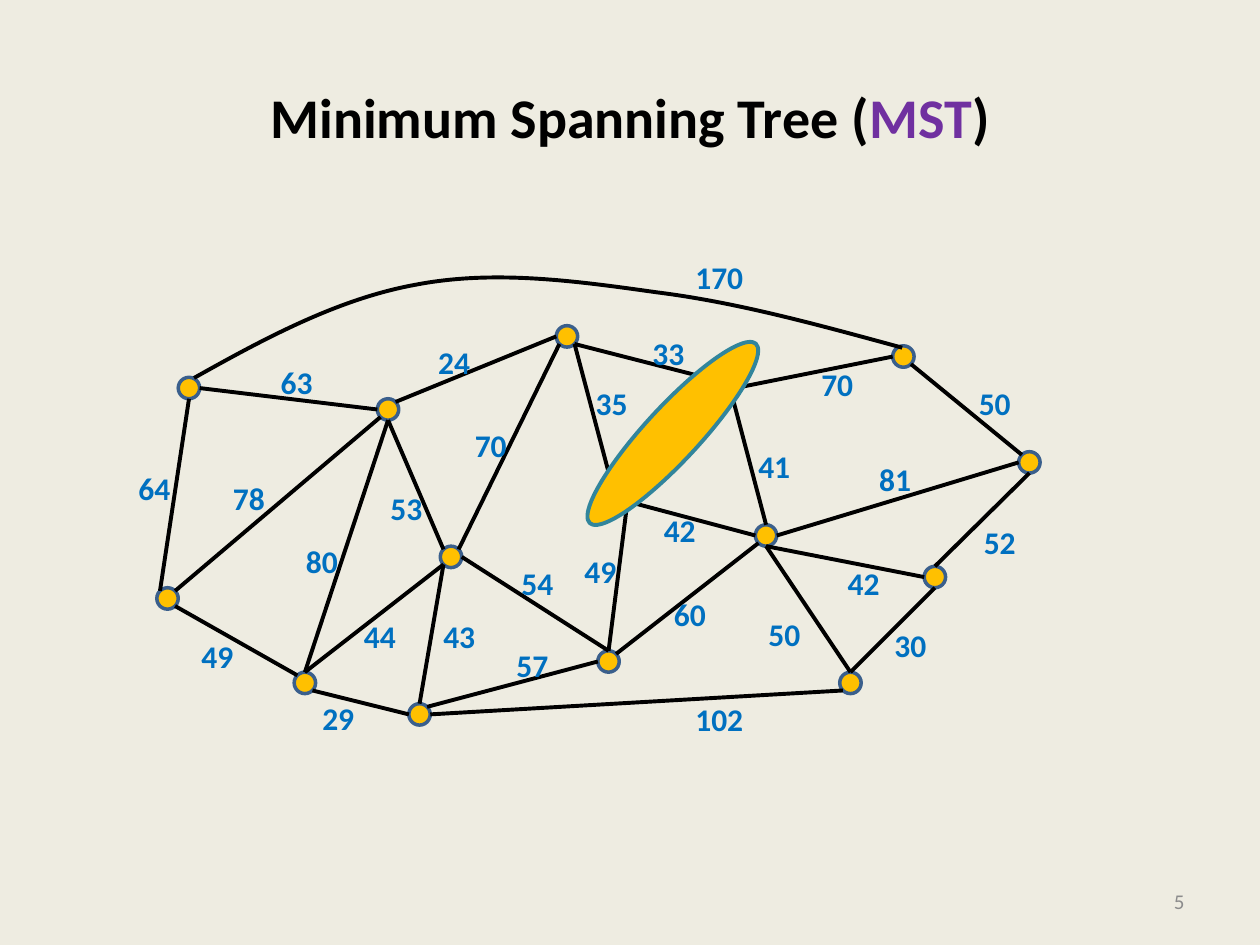
from math import sqrt

from lxml.etree import SubElement
from pptx import Presentation
from pptx.dml.color import RGBColor
from pptx.enum.shapes import MSO_CONNECTOR as Connector, MSO_SHAPE as Shape
from pptx.enum.text import MSO_ANCHOR as Anchor, MSO_AUTO_SIZE as AutoSize, PP_ALIGN as Align
from pptx.oxml.ns import qn
from pptx.util import Inches, Pt

NODE_SIZE = 0.17
LABEL_HEIGHT = 0.4

# Node centres; G and M lie beneath the merged node, so they only anchor edges.
NODES = {
    "A": (1.5, 3.08), "B": (3.08, 3.25), "C": (1.33, 4.75), "D": (3.58, 4.42),
    "E": (4.5, 2.67), "F": (2.42, 5.42), "G": (5.75, 3.08), "H": (6.08, 4.25),
    "I": (4.83, 5.25), "J": (7.42, 4.58), "K": (6.75, 5.42), "L": (3.33, 5.67),
    "M": (4.92, 3.92), "N": (7.17, 2.83), "O": (8.17, 3.67),
}
MERGED = "GM"

# Each end is a node and the compass point where the edge meets it.
EDGES = """
A:E B:W, A:S C:NW, B:S D:NW, D:SW F:N, E:SW D:NE, E:SE G:NW, D:E I:N,
D:SW L:N, B:NE E:W, G:E N:W, N:SE O:NW, G:SE H:N, O:W H:E, J:W H:S,
K:N H:S, I:N M:SE, M:SE H:W, L:E K:SW, C:SE F:NW, I:W L:NE, B:SW C:NE,
B:S F:N, E:SE M:NW, H:SW I:NE, O:S J:N, K:N J:S, L:W F:SE
"""

LONG_EDGE = [
    (1.54, 3), (2.11, 2.68), (2.69, 2.37), (3.3, 2.26),
    (3.92, 2.14), (4.57, 2.23), (5.21, 2.32),
    (5.85, 2.4), (6.5, 2.58), (7.16, 2.76),
]

WEIGHTS = [
    ("170", 5.42, 2), ("33", 5.08, 2.6), ("35", 4.63, 3), ("41", 5.92, 3.5),
    ("81", 6.88, 3.6), ("52", 7.71, 4.1), ("42", 6.63, 4.43), ("50", 7.67, 3),
    ("102", 5.42, 5.51), ("50", 6, 4.83), ("30", 7, 4.92), ("60", 5.25, 4.67),
    ("70", 3.67, 3.33), ("54", 4.04, 4.43), ("57", 4, 5.08), ("49", 4.54, 4.33),
    ("49", 1.5, 5.01), ("80", 2.33, 4.25), ("78", 1.75, 3.75), ("63", 2.13, 2.83),
    ("24", 3.38, 2.67), ("53", 3, 3.83), ("44", 2.79, 4.85), ("29", 2.46, 5.5),
    ("64", 1, 3.67), ("42", 5.17, 4.01), ("43", 3.42, 4.85), ("70", 6.42, 2.85),
]


def color(hex_string):
    return RGBColor.from_string(hex_string)


def site(end):
    """Return the point on a node's rim for an end such as "A:NW"."""
    name, compass = end.split(":")
    x, y = NODES[name]
    dx = ("E" in compass) - ("W" in compass)
    dy = ("S" in compass) - ("N" in compass)
    reach = NODE_SIZE / 2 / sqrt(dx * dx + dy * dy)
    return x + dx * reach, y + dy * reach


class GraphSlide:
    font = "Calibri"
    ink = "000000"
    accent = "7030A0"
    weight_color = "0070C0"
    node_fill = "FFC000"
    edge_width = 2.25

    def __init__(self, presentation, background):
        self.slide = presentation.slides.add_slide(presentation.slide_layouts[5])
        self.shapes = self.slide.shapes
        fill = self.slide.background.fill
        fill.solid()
        fill.fore_color.rgb = color(background)

    def run(self, paragraph, text, size, hex_string, bold=False):
        run = paragraph.add_run()
        run.text = text
        run.font.name = self.font
        run.font.size = Pt(size)
        run.font.bold = bold
        run.font.color.rgb = color(hex_string)

    def outline(self, line, hex_string, width):
        line.color.rgb = color(hex_string)
        line.width = Pt(width)

    def title(self, *parts):
        title = self.shapes.title
        title.left, title.top = Inches(0.5), Inches(0.3)
        title.width, title.height = Inches(9), Inches(1.25)
        title.text_frame.vertical_anchor = Anchor.MIDDLE
        paragraph = title.text_frame.paragraphs[0]
        paragraph.alignment = Align.CENTER
        for text, hex_string in parts:
            self.run(paragraph, text, 32, hex_string, bold=True)

    def page_number(self, text):
        box = self.shapes.add_textbox(Inches(7.17), Inches(6.95), Inches(2.33), Inches(0.4))
        frame = box.text_frame
        frame.word_wrap = True
        frame.vertical_anchor = Anchor.MIDDLE
        frame.paragraphs[0].alignment = Align.RIGHT
        self.run(frame.paragraphs[0], text, 12, "8C8C8C")

    def ellipse(self, center, width, height, line_color, line_width, rotation=0):
        x, y = center
        shape = self.shapes.add_shape(
            Shape.OVAL, Inches(x - width / 2), Inches(y - height / 2), Inches(width), Inches(height))
        shape.rotation = rotation
        shape.shadow.inherit = False
        shape.fill.solid()
        shape.fill.fore_color.rgb = color(self.node_fill)
        self.outline(shape.line, line_color, line_width)

    def edge(self, start, end):
        points = [Inches(value) for value in (*start, *end)]
        connector = self.shapes.add_connector(Connector.STRAIGHT, *points)
        self.outline(connector.line, self.ink, self.edge_width)
        SubElement(connector._element.spPr, qn("a:effectLst"))

    def curve(self, points):
        """Draw an open Bezier curve: a start, then two controls and an end per segment."""
        start, *rest = [(Inches(x), Inches(y)) for x, y in points]
        builder = self.shapes.build_freeform(*start)
        builder.add_line_segments(rest, close=False)
        shape = builder.convert_to_shape()
        shape.shadow.inherit = False
        shape.fill.background()
        self.outline(shape.line, self.ink, self.edge_width)
        outline = next(shape._element.iter(qn("a:moveTo"))).getparent()
        lines = outline.findall(qn("a:lnTo"))
        for first in range(0, len(lines), 3):
            bezier = SubElement(outline, qn("a:cubicBezTo"))
            for line_to in lines[first:first + 3]:
                bezier.append(line_to[0])
                outline.remove(line_to)

    def weight(self, text, left, top):
        width = 0.2 + 0.13 * len(text)
        box = self.shapes.add_textbox(Inches(left), Inches(top), Inches(width), Inches(LABEL_HEIGHT))
        box.text_frame.word_wrap = False
        box.text_frame.auto_size = AutoSize.SHAPE_TO_FIT_TEXT
        self.run(box.text_frame.paragraphs[0], text, 18, self.weight_color, bold=True)


def main():
    presentation = Presentation()
    presentation.slide_width, presentation.slide_height = Inches(10), Inches(7.5)
    graph = GraphSlide(presentation, "EEECE1")

    graph.title(("Minimum Spanning Tree (", graph.ink), ("MST", graph.accent), (")", graph.ink))
    graph.page_number("5")
    for name, center in NODES.items():
        if name not in MERGED:
            graph.ellipse(center, NODE_SIZE, NODE_SIZE, "3A5F8C", 2)
    for edge in EDGES.split(","):
        start, end = edge.split()
        graph.edge(site(start), site(end))
    graph.curve(LONG_EDGE)
    for text, left, top in WEIGHTS:
        graph.weight(text, left, top)
    graph.ellipse((5.34, 3.44), 1.94, 0.43, "31859C", 2.25, rotation=312.8)

    presentation.save("out.pptx")


if __name__ == "__main__":
    main()
